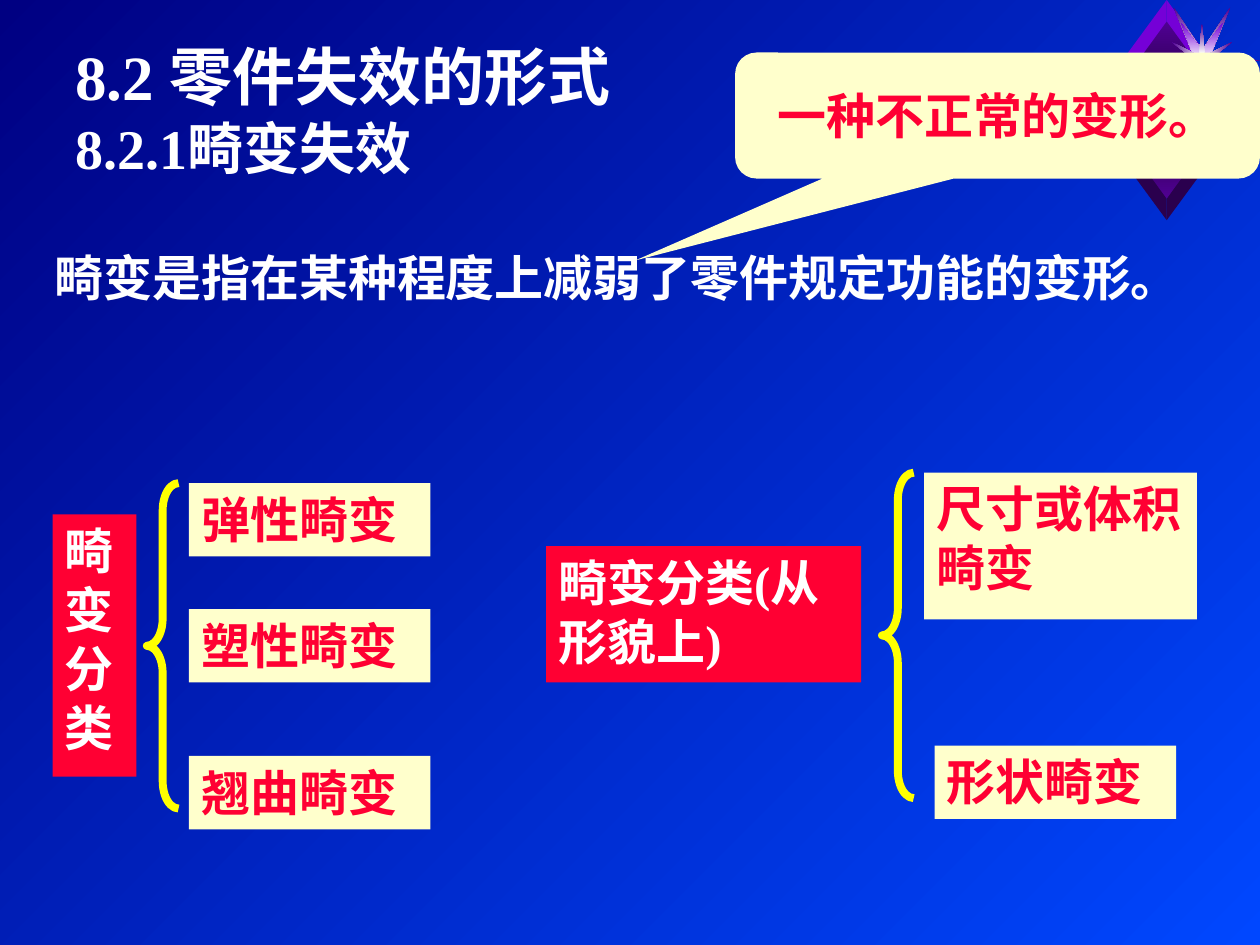
from lxml.etree import SubElement
from pptx import Presentation
from pptx.dml.color import RGBColor
from pptx.enum.shapes import MSO_SHAPE
from pptx.enum.text import MSO_ANCHOR, PP_ALIGN
from pptx.oxml.ns import qn
from pptx.util import Cm, Pt


def color(code):
    return RGBColor.from_string(code)


def write(shape, lines, code):
    """Fill a shape's text frame with (text, size) lines of one paragraph."""
    frame = shape.text_frame
    frame.word_wrap = True
    frame.vertical_anchor = MSO_ANCHOR.TOP
    para = frame.paragraphs[0]
    para.alignment = PP_ALIGN.LEFT
    for i, (text, size) in enumerate(lines):
        if i:
            para.add_line_break()
        run = para.add_run()
        run.text = text
        form = {"name": "Times New Roman", "size": Pt(size), "bold": True}
        for key, value in form.items():
            setattr(run.font, key, value)
        run.font.color.rgb = color(code)
    return para


WHITE, RED, CREAM, YELLOW = "FFFFFF", "FF0033", "FFFFCC", "FFFF00"
DARK, MID, BRIGHT = "2A004E", "500093", "7500D7"

deck = Presentation()
deck.slide_width, deck.slide_height = Cm(25.4), Cm(19.05)
slide = deck.slides.add_slide(deck.slide_layouts[6])
shapes = slide.shapes

# Background
back = slide.background.fill
back.gradient()
back.gradient_angle = 135
for stop, code, pos in zip(back.gradient_stops, ("0047FF", "000082"), (0, 1)):
    stop.color.rgb, stop.position = color(code), pos

# Corner gem: core and four edges, in hundredths of a cm around its centre
gem, star = (2352, 222), (2423, 122)
parts = [(gem, [(0, -179), (-132, 0), (0, 179), (132, 0)], (DARK, MID))]
for sy, code in ((-1, BRIGHT), (1, DARK)):
    for sx in (1, -1):
        edge = [(0, sy * 179), (0, sy * 222), (sx * 163, 0), (sx * 130, 0)]
        parts.append((gem, edge, (code,)))

# Corner star: each layer is one quarter, mirrored down and then left
layers = [
    ([(0, -20), (57, -107), (17, -10), (117, 0)], (WHITE, MID)),
    ([(0, -20), (42, -76), (17, -10), (84, 0)], (WHITE, BRIGHT)),
    ([(0, -74), (6, -10), (61, -37), (13, 0)], (WHITE, MID)),
    ([(0, -18), (3, -5), (14, -9), (5, 0)], ("F9F9F9",)),
]
for quarter, codes in layers:
    half = quarter + [(x, -y) for x, y in quarter[-2::-1]]
    parts.append((star, half + [(-x, y) for x, y in half[-2:0:-1]], codes))

for (cx, cy), points, codes in parts:
    spots = [(cx + x, cy + y) for x, y in points]
    pen = shapes.build_freeform(*spots[0], scale=Cm(0.01))
    pen.add_line_segments(spots[1:], close=True)
    shape = pen.convert_to_shape()
    shape.shadow.inherit = False
    shape.line.fill.background()
    fill = shape.fill
    if len(codes) == 1:
        fill.solid()
        fill.fore_color.rgb = color(codes[0])
        continue
    fill.gradient()
    for stop, code, pos in zip(fill.gradient_stops, codes, (0, 1)):
        stop.color.rgb, stop.position = color(code), pos
    # Shade from the centre outwards
    grad = shape._element.spPr.find(qn("a:gradFill"))
    grad.remove(grad.find(qn("a:lin")))
    path = SubElement(grad, qn("a:path"), path="rect")
    SubElement(path, qn("a:fillToRect"), l="50000", t="50000", r="50000", b="50000")

# Title and definition
texts = [
    ((1.27, 0.64, 13.77, 4.02), [("8.2 零件失效的形式", 36), ("8.2.1畸变失效", 32)]),
    ((0.85, 4.87, 23.92, 1.69), [("畸变是指在某种程度上减弱了零件规定功能的变形。", 28)]),
]
for place, lines in texts:
    write(shapes.add_textbox(*map(Cm, place)), lines, WHITE)

# Callout, then the boxes of both trees
rect, call = MSO_SHAPE.RECTANGLE, MSO_SHAPE.ROUNDED_RECTANGULAR_CALLOUT
boxes = [
    (call, (14.82, 1.06, 10.58, 2.54), "一种不正常的变形。", CREAM, RED),
    (rect, (1.06, 10.37, 1.69, 5.29), "畸变分类", RED, WHITE),
    (rect, (3.81, 9.74, 4.87, 1.48), "弹性畸变", CREAM, RED),
    (rect, (3.81, 12.28, 4.87, 1.48), "塑性畸变", CREAM, RED),
    (rect, (3.81, 15.24, 4.87, 1.48), "翘曲畸变", CREAM, RED),
    (rect, (11.01, 11.01, 6.35, 2.75), "畸变分类(从形貌上)", RED, WHITE),
    (rect, (18.63, 9.53, 5.5, 2.96), "尺寸或体积畸变", CREAM, RED),
    (rect, (18.84, 15.03, 4.87, 1.48), "形状畸变", CREAM, RED),
]
for kind, place, text, paint, ink in boxes:
    box = shapes.add_shape(kind, *map(Cm, place))
    box.shadow.inherit = False
    box.fill.solid()
    box.fill.fore_color.rgb = color(paint)
    box.line.fill.background()
    para = write(box, [(text, 28)], ink)
    if kind == call:
        para.alignment, para.line_spacing = PP_ALIGN.CENTER, 1.35
        for i, value in enumerate((-0.69, 1.15, 0.17)):
            box.adjustments[i] = value

# Braces
for left, top in ((2.96, 9.74), (17.78, 9.53)):
    brace = shapes.add_shape(
        MSO_SHAPE.LEFT_BRACE, Cm(left), Cm(top), Cm(0.64), Cm(6.56))
    brace.shadow.inherit = False
    brace.adjustments[0] = 0.86
    brace.fill.background()
    brace.line.color.rgb = color(YELLOW)
    brace.line.width = Pt(4.5)

deck.save("out.pptx")
